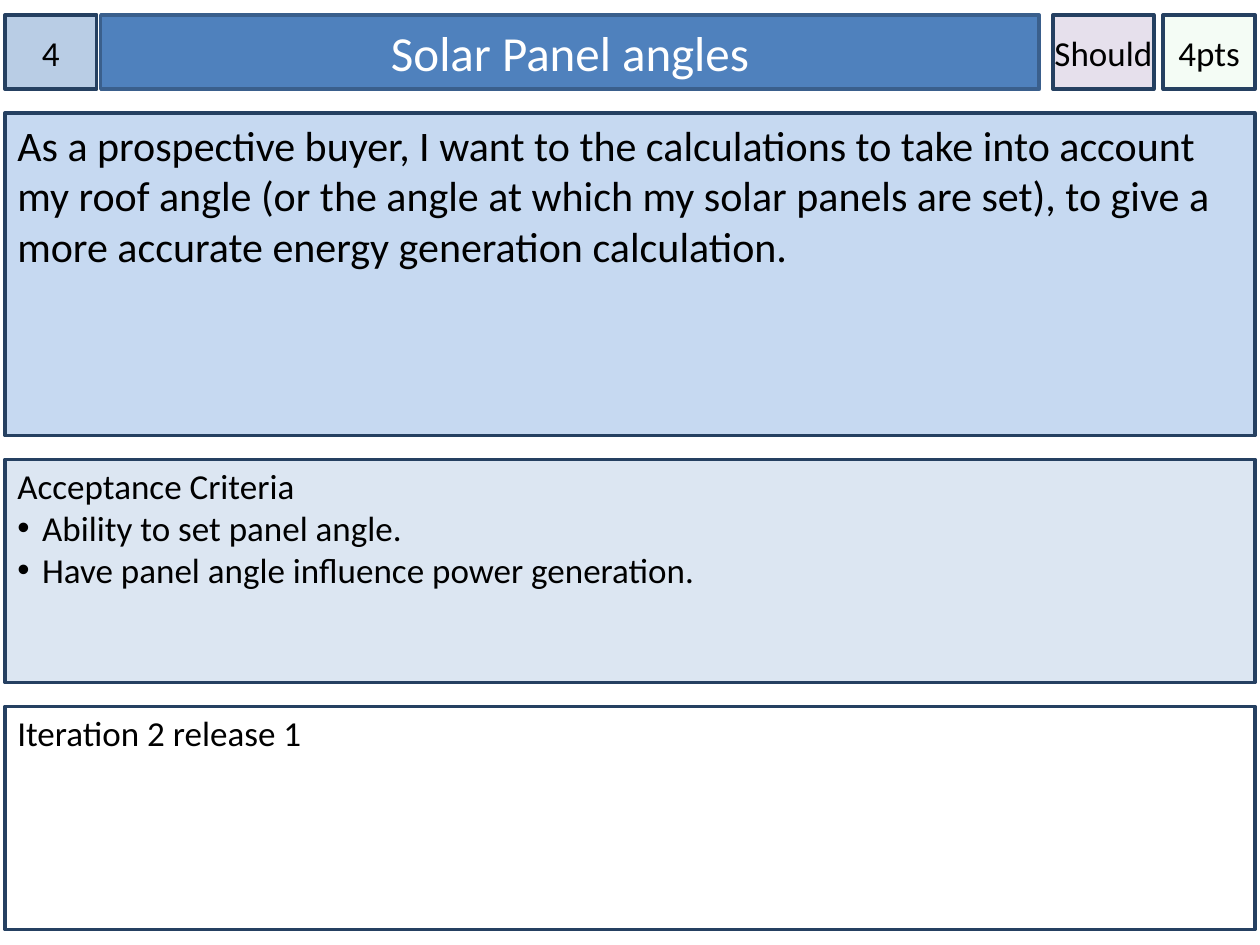
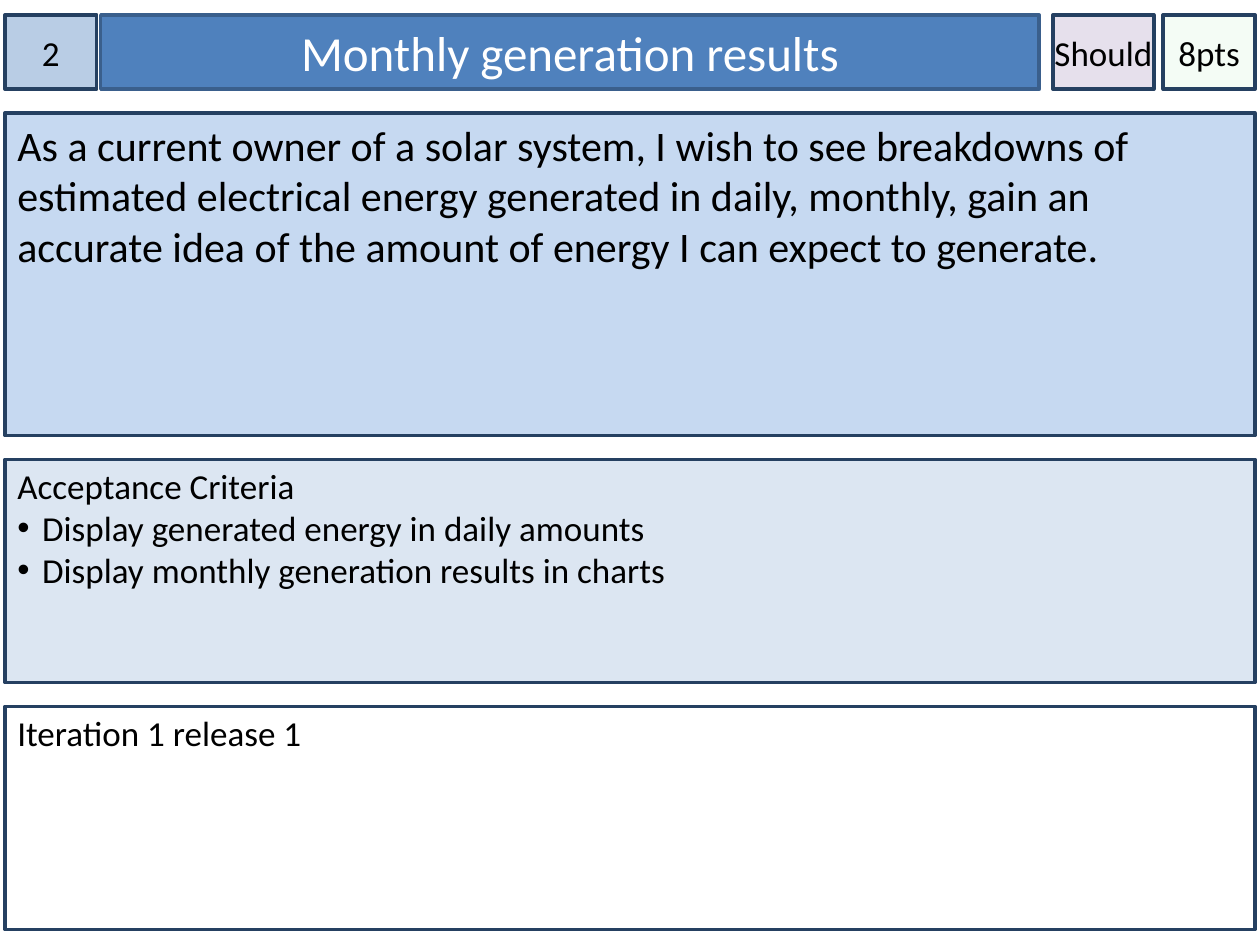
from lxml.etree import SubElement
from pptx import Presentation
from pptx.dml.color import RGBColor
from pptx.enum.shapes import MSO_SHAPE
from pptx.enum.text import MSO_ANCHOR, MSO_AUTO_SIZE, PP_ALIGN
from pptx.oxml.ns import qn
from pptx.util import Cm, Pt

NAVY = RGBColor(0x25, 0x40, 0x61)
STEEL = RGBColor(0x3A, 0x5F, 0x8C)
BLUE = RGBColor(0x4F, 0x81, 0xBD)
SKY = RGBColor(0xC6, 0xD9, 0xF1)
MIST = RGBColor(0xDC, 0xE6, 0xF2)
SLATE = RGBColor(0xB9, 0xCD, 0xE5)
LILAC = RGBColor(0xE6, 0xE0, 0xEC)
MINT = RGBColor(0xCC, 0xF0, 0xCD)
WHITE = RGBColor(0xFF, 0xFF, 0xFF)
BLACK = RGBColor(0, 0, 0)

LEFT, TOP, WIDE = 0.1, 0.3, 25.2
HEAD, GAP, SIDE = 1.5, 0.48, 1.85

TITLE = {"size": Pt(28), "name": "Calibri", "color": WHITE}
STORY = {"size": Pt(24), "name": "Calibri", "color": BLACK}
BODY = {"size": Pt(20), "name": "Calibri", "color": BLACK}

BADGE = {"margin_left": 0, "margin_right": 0, "margin_top": Cm(0.13),
         "margin_bottom": Cm(0.13), "vertical_anchor": MSO_ANCHOR.MIDDLE}
PANEL = {"margin_left": Cm(0.25), "margin_right": Cm(0.25),
         "margin_top": Cm(0.1), "margin_bottom": Cm(0.13),
         "vertical_anchor": MSO_ANCHOR.TOP}
LEAD = {**PANEL, "margin_top": Cm(0.13)}
BANNER = {**LEAD, "vertical_anchor": MSO_ANCHOR.MIDDLE}

CARDS = [
    {"rank": "4", "title": "Solar Panel angles", "need": "Should", "cost": "4pts",
     "story": "As a prospective buyer, I want to the calculations to take into "
              "account my roof angle (or the angle at which my solar panels are "
              "set), to give a more accurate energy generation calculation.",
     "tests": ["Ability to set panel angle.",
               "Have panel angle influence power generation."],
     "plan": "Iteration 2 release 1"},
    {"rank": "2", "title": "Monthly generation results", "need": "Should",
     "cost": "8pts",
     "story": "As a current owner of a solar system, I wish to see breakdowns of "
              "estimated electrical energy generated in daily, monthly, gain an "
              "accurate idea of the amount of energy I can expect to generate.",
     "tests": ["Display generated energy in daily amounts",
               "Display monthly generation results in charts"],
     "plan": "Iteration 1 release 1"},
]


def apply(item, values):
    for key, value in values.items():
        setattr(item, key, value)


def paint(shape, fill, edge):
    shape.fill.solid()
    shape.fill.fore_color.rgb = fill
    shape.line.color.rgb = edge
    shape.line.width = Pt(2)


def style(para, form, align):
    para.alignment = align
    para.font.color.rgb = form["color"]
    apply(para.font, {key: form[key] for key in ("size", "name")})


def bullet(para):
    props = para._p.get_or_add_pPr()
    props.set("marL", str(Cm(0.5)))
    props.set("indent", str(-Cm(0.5)))
    SubElement(props, qn("a:buFont"), typeface="Arial")
    SubElement(props, qn("a:buChar"), char="•")


def fade(shape, share):
    color = shape.fill._xPr.find(qn("a:solidFill"))[0]
    SubElement(color, qn("a:alpha"), val=str(share * 1000))


def add_box(slide, place, fill, frame, lines, form, align, wrap=True):
    box = slide.shapes.add_shape(MSO_SHAPE.RECTANGLE, *map(Cm, place))
    box.shadow.inherit = False
    paint(box, fill, NAVY)
    text = box.text_frame
    apply(text, {**frame, "word_wrap": wrap, "text": "\n".join(lines)})
    for para in text.paragraphs[1:]:
        bullet(para)
    for para in text.paragraphs:
        style(para, form, align)
    return box


def add_badge(slide, left, width, fill, label, wrap=True):
    return add_box(slide, (left, TOP, width, HEAD), fill, BADGE, [label],
                   BODY, PP_ALIGN.CENTER, wrap)


def add_title(slide, label):
    title = slide.shapes.title
    apply(title, {"left": Cm(2.03), "top": Cm(TOP),
                  "width": Cm(18.92), "height": Cm(HEAD)})
    paint(title, BLUE, STEEL)
    apply(title.text_frame, {**BANNER, "text": label, "word_wrap": True,
                             "auto_size": MSO_AUTO_SIZE.NONE})
    style(title.text_frame.paragraphs[0], TITLE, PP_ALIGN.CENTER)


def add_card(deck, card):
    slide = deck.slides.add_slide(deck.slide_layouts[5])
    add_title(slide, card["title"])
    add_badge(slide, LEFT, SIDE, SLATE, card["rank"])
    add_badge(slide, 21.23, 2.03, LILAC, card["need"], wrap=False)
    cost = add_badge(slide, LEFT + WIDE - SIDE, SIDE, MINT, card["cost"])
    fade(cost, 20)
    panels = [
        (6.5, SKY, LEAD, [card["story"]], STORY),
        (4.5, MIST, PANEL, ["Acceptance Criteria", *card["tests"]], BODY),
        (4.5, WHITE, PANEL, [card["plan"]], BODY),
    ]
    top = TOP + HEAD + GAP
    for height, fill, frame, lines, form in panels:
        add_box(slide, (LEFT, top, WIDE, height), fill, frame, lines, form,
                PP_ALIGN.LEFT)
        top += height + GAP


def main():
    deck = Presentation()
    apply(deck, {"slide_width": Cm(25.4), "slide_height": Cm(19.05)})
    for card in CARDS:
        add_card(deck, card)
    deck.save("out.pptx")


if __name__ == "__main__":
    main()
